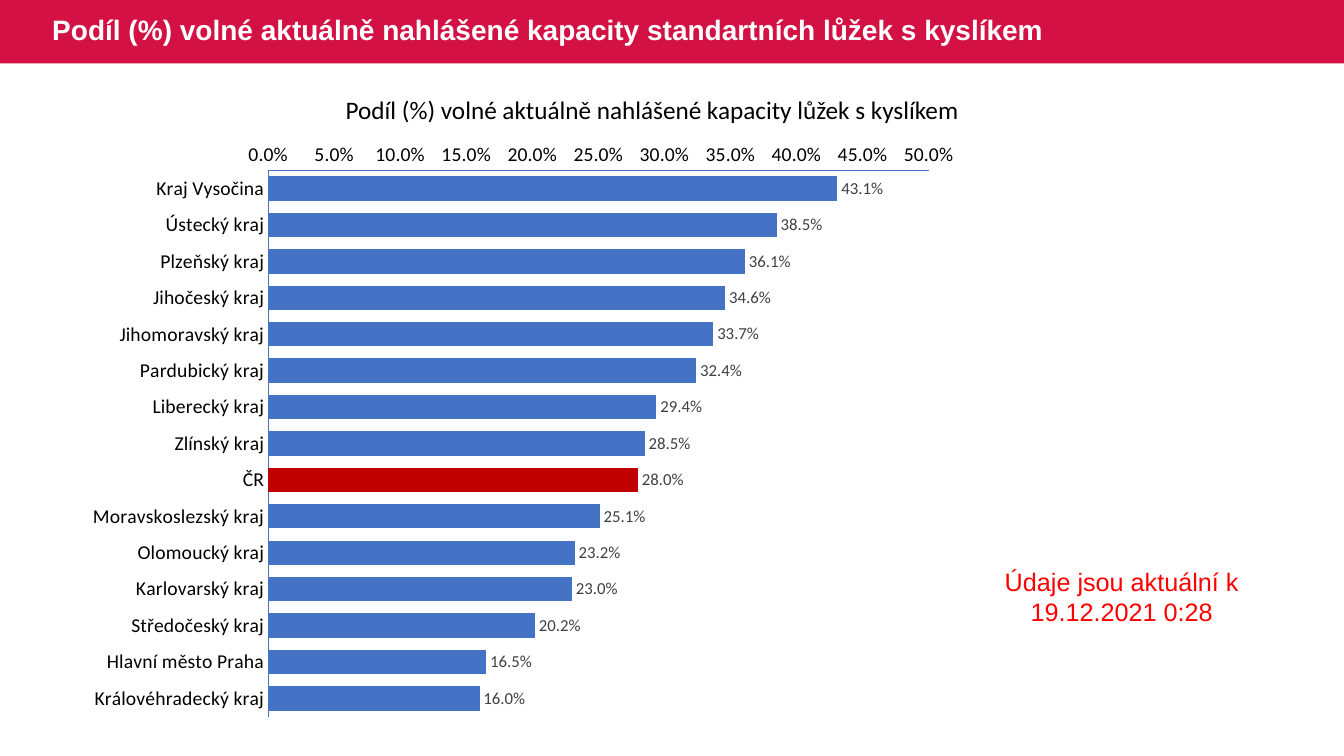
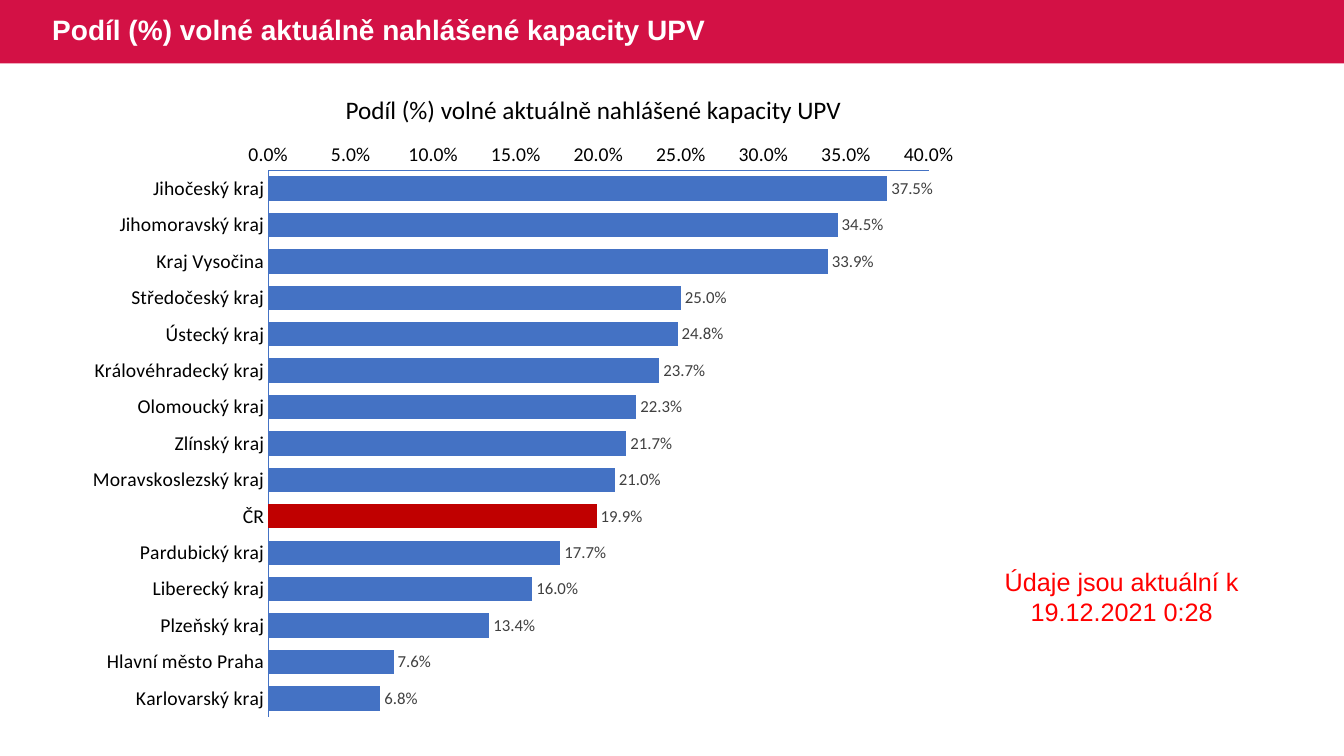
from lxml import etree
from pptx import Presentation
from pptx.chart.data import CategoryChartData
from pptx.dml.color import RGBColor
from pptx.enum.chart import XL_CHART_TYPE, XL_LABEL_POSITION, XL_TICK_MARK
from pptx.enum.shapes import MSO_SHAPE
from pptx.enum.text import MSO_ANCHOR, MSO_AUTO_SIZE, PP_ALIGN
from pptx.oxml.ns import qn
from pptx.util import Inches, Pt

COLORS = {
    "band": "D31145",
    "title": "FFFFFF",
    "text": "000000",
    "note": "FF0000",
    "bar": "4472C4",
    "country": "C00000",
    "label": "404040",
}
COUNTRY = "ČR"
NOTE = "Údaje jsou aktuální k 19.12.2021 0:28"
PERCENT = "0.0%"
BAND_HEIGHT = 0.63
CHART_AREA = (0.74, 1.3, 8.89, 5.93)
PLOT_AREA = (2.66, 1.69, 6.55, 5.42)

SLIDES = [
    {
        "title": "Podíl (%) volné aktuálně nahlášené kapacity standartních lůžek s kyslíkem",
        "heading": "Podíl (%) volné aktuálně nahlášené kapacity lůžek s kyslíkem",
        "heading_width": 6.35,
        "axis_maximum": 0.5,
        "shares": [
            ("Kraj Vysočina", 0.431),
            ("Ústecký kraj", 0.385),
            ("Plzeňský kraj", 0.361),
            ("Jihočeský kraj", 0.346),
            ("Jihomoravský kraj", 0.337),
            ("Pardubický kraj", 0.324),
            ("Liberecký kraj", 0.294),
            ("Zlínský kraj", 0.285),
            (COUNTRY, 0.28),
            ("Moravskoslezský kraj", 0.251),
            ("Olomoucký kraj", 0.232),
            ("Karlovarský kraj", 0.23),
            ("Středočeský kraj", 0.202),
            ("Hlavní město Praha", 0.165),
            ("Královéhradecký kraj", 0.16),
        ],
    },
    {
        "title": "Podíl (%) volné aktuálně nahlášené kapacity UPV",
        "heading": "Podíl (%) volné aktuálně nahlášené kapacity UPV",
        "heading_width": 5.17,
        "axis_maximum": 0.4,
        "shares": [
            ("Jihočeský kraj", 0.375),
            ("Jihomoravský kraj", 0.345),
            ("Kraj Vysočina", 0.339),
            ("Středočeský kraj", 0.25),
            ("Ústecký kraj", 0.248),
            ("Královéhradecký kraj", 0.237),
            ("Olomoucký kraj", 0.223),
            ("Zlínský kraj", 0.217),
            ("Moravskoslezský kraj", 0.21),
            (COUNTRY, 0.199),
            ("Pardubický kraj", 0.177),
            ("Liberecký kraj", 0.16),
            ("Plzeňský kraj", 0.134),
            ("Hlavní město Praha", 0.076),
            ("Karlovarský kraj", 0.068),
        ],
    },
]


def color(name):
    return RGBColor.from_string(COLORS[name])


def inches(area):
    return [Inches(length) for length in area]


def style_font(font, size, color_name, name="Calibri", bold=False):
    font.size = Pt(size)
    font.name = name
    font.bold = bold
    font.color.rgb = color(color_name)


def fill_solid(fill, color_name):
    fill.solid()
    fill.fore_color.rgb = color(color_name)


def add_text(page, area, text, wrap=True):
    """Add a one-paragraph text box and return its frame and paragraph."""
    frame = page.shapes.add_textbox(*inches(area)).text_frame
    frame.word_wrap = wrap
    para = frame.paragraphs[0]
    para.text = text
    return frame, para


def add_title_band(page, title, width):
    band = page.shapes.add_shape(
        MSO_SHAPE.RECTANGLE, 0, 0, width, Inches(BAND_HEIGHT))
    band.shadow.inherit = False
    fill_solid(band.fill, "band")
    band.line.fill.background()
    frame, para = add_text(page, (0.42, 0, 11.56, BAND_HEIGHT), title)
    frame.vertical_anchor = MSO_ANCHOR.MIDDLE
    para.line_spacing = 0.9
    style_font(para.font, 20, "title", "Arial", bold=True)


def place_plot(chart):
    """Fix the inner plot area as fractions of the chart area."""
    left, top, width, height = CHART_AREA
    plot_left, plot_top, plot_width, plot_height = PLOT_AREA
    settings = {
        "layoutTarget": "inner",
        "xMode": "edge",
        "yMode": "edge",
        "x": (plot_left - left) / width,
        "y": (plot_top - top) / height,
        "w": plot_width / width,
        "h": plot_height / height,
    }
    plot_area = chart.element.find(".//" + qn("c:plotArea"))
    for old_layout in plot_area.findall(qn("c:layout")):
        plot_area.remove(old_layout)
    layout = etree.Element(qn("c:layout"))
    manual = etree.SubElement(layout, qn("c:manualLayout"))
    for tag, value in settings.items():
        etree.SubElement(manual, qn("c:" + tag)).set("val", str(value))
    plot_area.insert(0, layout)


def style_axis(axis):
    axis.major_tick_mark = XL_TICK_MARK.NONE
    axis.minor_tick_mark = XL_TICK_MARK.NONE
    axis.has_major_gridlines = False
    axis.format.line.color.rgb = color("bar")
    axis.format.line.width = Pt(0.75)
    style_font(axis.tick_labels.font, 14, "text")


def add_share_chart(page, shares, axis_maximum):
    regions, values = zip(*shares)
    data = CategoryChartData(number_format=PERCENT)
    data.categories = regions
    data.add_series("Series 1", values)
    chart = page.shapes.add_chart(
        XL_CHART_TYPE.BAR_CLUSTERED, *inches(CHART_AREA), data).chart
    chart.has_title = False
    chart.has_legend = False
    style_font(chart.font, 10, "text")
    place_plot(chart)

    style_axis(chart.category_axis)
    chart.category_axis.reverse_order = True
    value_axis = chart.value_axis
    style_axis(value_axis)
    value_axis.minimum_scale = 0
    value_axis.maximum_scale = axis_maximum
    value_axis.major_unit = 0.05
    value_axis.tick_labels.number_format = PERCENT
    value_axis.tick_labels.number_format_is_linked = False

    plot = chart.plots[0]
    plot.gap_width = 50
    plot.vary_by_categories = False
    series = plot.series[0]
    series.invert_if_negative = False
    fill_solid(series.format.fill, "bar")
    country_bar = series.points[regions.index(COUNTRY)]
    fill_solid(country_bar.format.fill, "country")

    labels = series.data_labels
    labels.show_value = True
    labels.position = XL_LABEL_POSITION.OUTSIDE_END
    labels.number_format = PERCENT
    labels.number_format_is_linked = False
    style_font(labels.font, 12, "label")


def add_heading(page, text, width):
    frame, para = add_text(page, (3.33, 0.89, width, 0.4), text, wrap=False)
    frame.auto_size = MSO_AUTO_SIZE.SHAPE_TO_FIT_TEXT
    style_font(para.font, 18, "text")


def add_note(page):
    frame, para = add_text(page, (9.85, 5.57, 2.55, 0.71), NOTE)
    frame.auto_size = MSO_AUTO_SIZE.SHAPE_TO_FIT_TEXT
    para.alignment = PP_ALIGN.CENTER
    style_font(para.font, 18, "note", "Arial")


def main():
    deck = Presentation()
    deck.slide_width = Inches(13.33)
    deck.slide_height = Inches(7.5)
    blank = deck.slide_layouts[6]
    for content in SLIDES:
        page = deck.slides.add_slide(blank)
        add_title_band(page, content["title"], deck.slide_width)
        add_share_chart(page, content["shares"], content["axis_maximum"])
        add_heading(page, content["heading"], content["heading_width"])
        add_note(page)
    deck.save("out.pptx")


if __name__ == "__main__":
    main()
